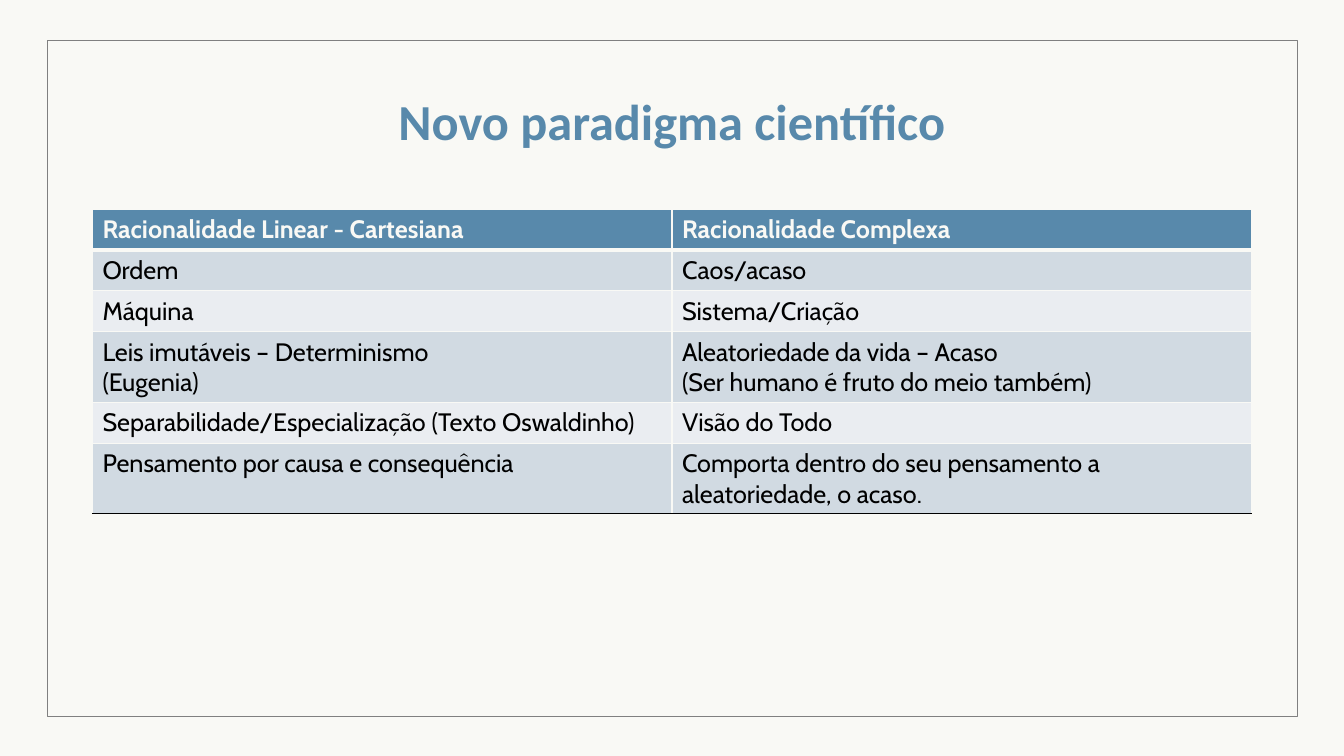
from pptx import Presentation
from pptx.dml.color import RGBColor
from pptx.enum.shapes import MSO_SHAPE as SHAPE
from pptx.enum.text import MSO_ANCHOR as ANCHOR, PP_ALIGN as ALIGN
from pptx.oxml import parse_xml
from pptx.oxml.ns import nsdecls
from pptx.util import Cm, Pt

PAPER, BLUE, BLACK = "F9F9F5", "5889AB", "000000"
BANDS = ["EAEDF1", "D1DAE2"]


def rgb(value):
    return RGBColor.from_string(value)


def add_run(p, text, font, size, color, bold):
    r = p.add_run()
    r.text = text
    r.font.name = font
    r.font.size = Pt(size)
    r.font.bold = bold
    r.font.color.rgb = rgb(color)


prs = Presentation()
prs.slide_width, prs.slide_height = Cm(33.87), Cm(19.05)
s = prs.slides.add_slide(prs.slide_layouts[6])
s.background.fill.solid()
s.background.fill.fore_color.rgb = rgb(PAPER)

# Thin frame
frame = s.shapes.add_shape(SHAPE.RECTANGLE, Cm(1.19), Cm(1.02), Cm(31.5), Cm(17.02))
frame.shadow.inherit = False
frame.fill.background()
frame.line.color.rgb = rgb("808080")
frame.line.width = Pt(0.25)

# Title
title = s.shapes.add_textbox(Cm(2.33), Cm(1.57), Cm(29.21), Cm(3.12))
tf = title.text_frame
tf.word_wrap = True
tf.vertical_anchor = ANCHOR.MIDDLE
p = tf.paragraphs[0]
p.alignment = ALIGN.CENTER
p.line_spacing = 0.9
add_run(p, "Novo paradigma científico", "Calibri", 36, BLUE, True)

# Comparison table: each cell is a list of paragraphs
rows = [
    (["Racionalidade Linear - Cartesiana"], ["Racionalidade Complexa"]),
    (["Ordem"], ["Caos/acaso"]),
    (["Máquina"], ["Sistema/Criação"]),
    (["Leis imutáveis – Determinismo", "(Eugenia)"],
     ["Aleatoriedade da vida – Acaso", "(Ser humano é fruto do meio também)"]),
    (["Separabilidade/Especialização (Texto Oswaldinho)"], ["Visão do Todo"]),
    (["Pensamento por causa e consequência"],
     ["Comporta dentro do seu pensamento a aleatoriedade, o acaso."]),
]
row_height = 1.03
last = len(rows) - 1
table = s.shapes.add_table(len(rows), 2, Cm(2.33), Cm(5.27), Cm(29.21),
                           Cm(row_height * len(rows))).table

for i, row in enumerate(rows):
    table.rows[i].height = Cm(row_height)
    header = i == 0
    for j, lines in enumerate(row):
        cell = table.cell(i, j)

        # Borders: thick under the header, black under the last row
        edges = {side: (PAPER, 1) for side in "LRTB"}
        if header:
            edges["B"] = (PAPER, 3)
        elif i == 1:
            edges["T"] = (PAPER, 3)
        if i == last:
            edges["B"] = (BLACK, 1)
        tcPr = cell._tc.get_or_add_tcPr()
        for side, (color, width) in edges.items():
            tcPr.append(parse_xml(
                f'<a:ln{side} {nsdecls("a")} w="{Pt(width)}"><a:solidFill>'
                f'<a:srgbClr val="{color}"/></a:solidFill></a:ln{side}>'))

        cell.fill.solid()
        cell.fill.fore_color.rgb = rgb(BLUE if header else BANDS[i % 2])

        tf = cell.text_frame
        for k, line in enumerate(lines):
            p = tf.add_paragraph() if k else tf.paragraphs[0]
            add_run(p, line, "Cabin", 18, PAPER if header else BLACK, header)

prs.save("out.pptx")
